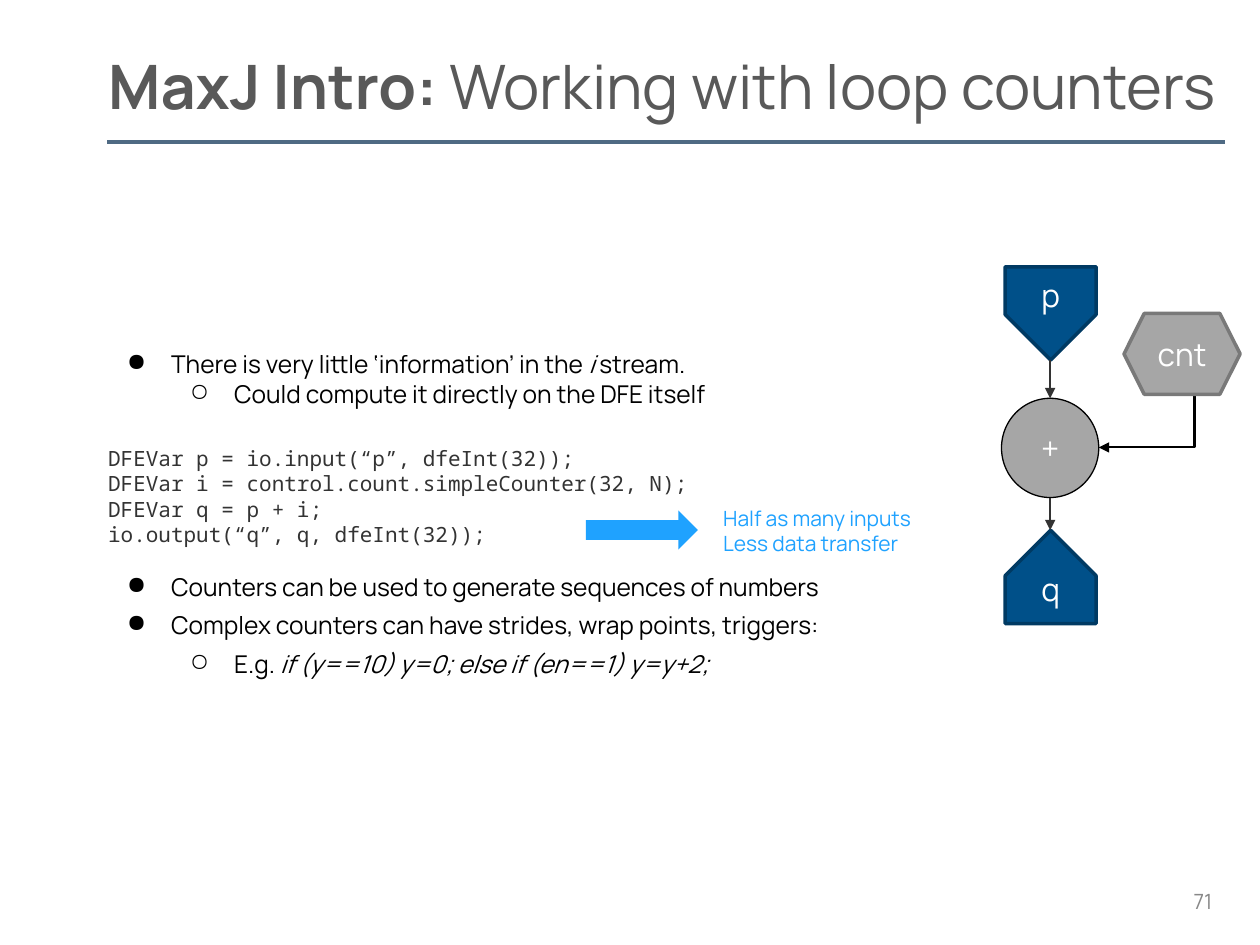
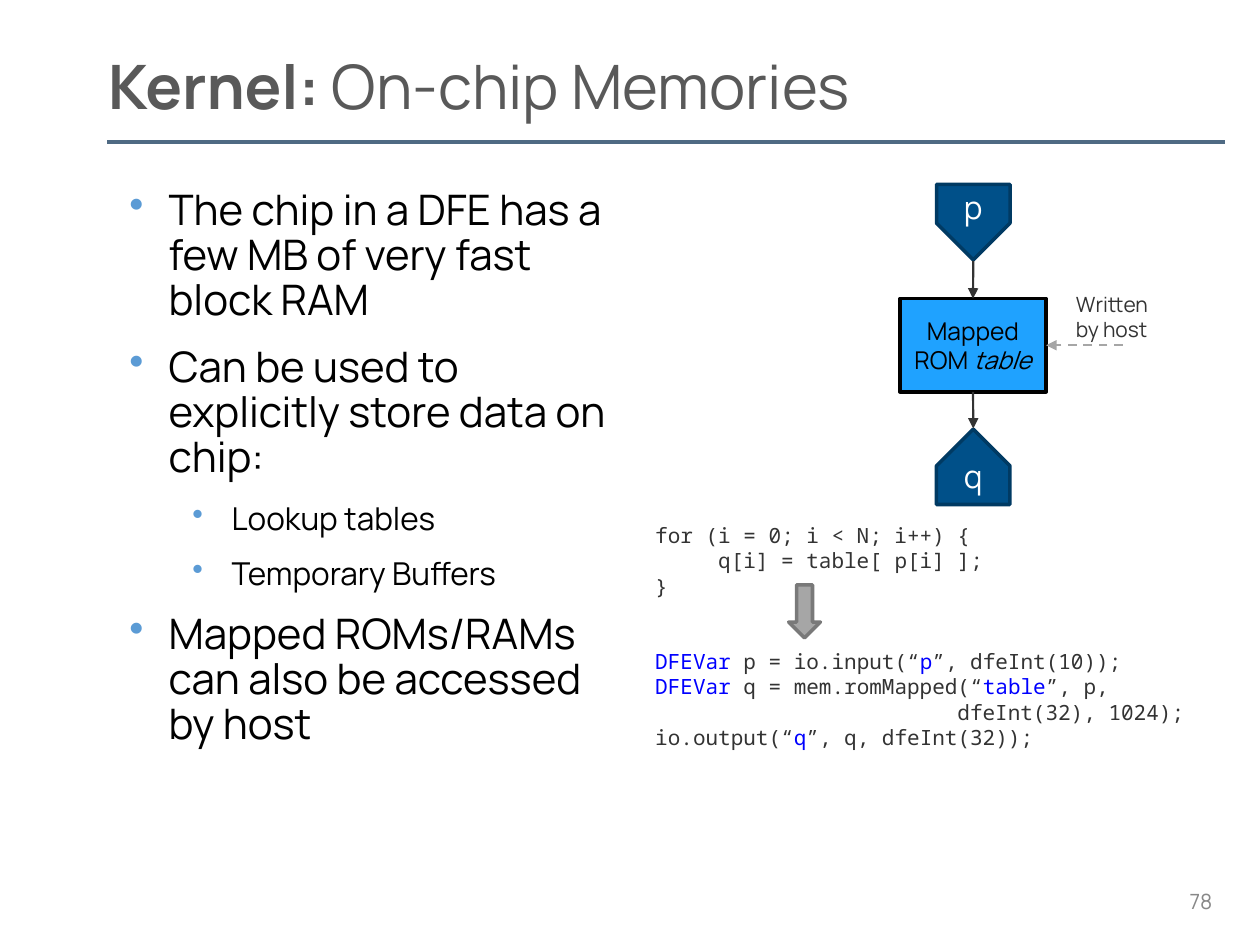
from dataclasses import dataclass
from typing import Optional

from pptx import Presentation
from pptx.dml.color import RGBColor
from pptx.enum.dml import MSO_LINE
from pptx.enum.shapes import MSO_CONNECTOR as Connector, MSO_SHAPE as Shape
from pptx.enum.text import MSO_ANCHOR as Anchor, MSO_AUTO_SIZE as AutoSize, PP_ALIGN as Align
from pptx.oxml.ns import qn
from pptx.util import Cm, Pt
from lxml.etree import SubElement

SANS, MONO = "Manrope", "Noto Sans Mono"
BLACK, WHITE, INK, TITLE_GREY = "000000", "FFFFFF", "333333", "595959"
NAVY, NAVY_EDGE, SKY, RULE = "005089", "003A63", "1FA2FF", "4F6A83"
GREY, GREY_EDGE, PAGE_GREY = "A6A6A6", "797979", "888888"
KEYWORD, BULLET_BLUE = "0000FF", "5B9BD5"
DEFAULT_INSETS = (0.25, 0.13)
BLOCK_INSETS = (0, 0.51)


@dataclass(frozen=True)
class Span:
    text: str
    bold: bool = False
    italic: bool = False
    color: Optional[str] = None


@dataclass(frozen=True)
class Style:
    size: float
    color: str
    font: str = SANS


@dataclass(frozen=True)
class Bullet:
    character: str
    color: str
    margin: float
    hanging: float
    level: int = 0


@dataclass(frozen=True)
class Line:
    """One paragraph: spans in one style, with spacing in points."""
    spans: tuple[Span, ...]
    style: Style
    bullet: Optional[Bullet] = None
    before: float = 0
    after: float = 0
    spacing: Optional[float] = None
    align: Align = Align.LEFT


@dataclass(frozen=True)
class Box:
    left: float
    top: float
    width: float
    height: float

    def lengths(self) -> tuple:
        return Cm(self.left), Cm(self.top), Cm(self.width), Cm(self.height)


@dataclass(frozen=True)
class Port:
    """A stream input (points down) or output (points up), placed by its centre."""
    letter: str
    center_x: float
    center_y: float
    length: float
    is_input: bool


LABEL = Style(18, WHITE)
BODY = Style(14, BLACK)
CODE = Style(12, INK, MONO)
DOT = Bullet("●", BLACK, 1.27, 0.89)
RING = Bullet("○", BLACK, 2.54, 0.89, 1)
OUTER = Bullet("•", BULLET_BLUE, 0.79, 0.79)
INNER = Bullet("•", BULLET_BLUE, 2.06, 0.79, 1)


def rgb(color: str) -> RGBColor:
    return RGBColor.from_string(color)


def plain(text: str, style: Style, **options) -> Line:
    return Line((Span(text),), style, **options)


def centered(text: str) -> list[Line]:
    return [plain(text, LABEL, align=Align.CENTER)]


def set_bullet(paragraph, bullet: Bullet) -> None:
    paragraph.level = bullet.level
    properties = paragraph._p.get_or_add_pPr()
    properties.set("marL", str(Cm(bullet.margin)))
    properties.set("indent", str(-Cm(bullet.hanging)))
    color = SubElement(properties, qn("a:buClr"))
    SubElement(color, qn("a:srgbClr")).set("val", bullet.color)
    SubElement(properties, qn("a:buChar")).set("char", bullet.character)


def write(shape, lines: list[Line], anchor: Anchor = Anchor.TOP,
          insets: tuple[float, float] = DEFAULT_INSETS) -> None:
    frame = shape.text_frame
    frame.word_wrap = True
    frame.auto_size = AutoSize.NONE
    frame.vertical_anchor = anchor
    frame.margin_left = frame.margin_right = Cm(insets[0])
    frame.margin_top = frame.margin_bottom = Cm(insets[1])
    for index, line in enumerate(lines):
        paragraph = frame.add_paragraph() if index else frame.paragraphs[0]
        if line.bullet:
            set_bullet(paragraph, line.bullet)
        paragraph.alignment = line.align
        paragraph.space_before, paragraph.space_after = Pt(line.before), Pt(line.after)
        if line.spacing:
            paragraph.line_spacing = line.spacing
        for span in line.spans:
            run = paragraph.add_run()
            run.text = span.text
            font = run.font
            font.name, font.size = line.style.font, Pt(line.style.size)
            font.bold, font.italic = span.bold, span.italic
            font.color.rgb = rgb(span.color or line.style.color)


def add_text(slide, box: Box, lines: list[Line], **options):
    shape = slide.shapes.add_textbox(*box.lengths())
    write(shape, lines, **options)
    return shape


def add_block(slide, kind: Shape, box: Box, fill: str, edge: Optional[str] = None,
              edge_width: float = 2, lines: Optional[list[Line]] = None):
    shape = slide.shapes.add_shape(kind, *box.lengths())
    shape.shadow.inherit = False
    shape.fill.solid()
    shape.fill.fore_color.rgb = rgb(fill)
    if edge:
        shape.line.color.rgb = rgb(edge)
        shape.line.width = Pt(edge_width)
    else:
        shape.line.fill.background()
    if lines:
        write(shape, lines, Anchor.MIDDLE)
    return shape


def add_line(slide, start: tuple[float, float], end: tuple[float, float], color: str = INK,
             width: float = 1.25, arrow: bool = True, kind: Connector = Connector.STRAIGHT):
    connector = slide.shapes.add_connector(kind, *map(Cm, start + end))
    connector.line.color.rgb = rgb(color)
    connector.line.width = Pt(width)
    if arrow:
        SubElement(connector.line._get_or_add_ln(), qn("a:tailEnd")).set("type", "triangle")
    SubElement(connector._element.spPr, qn("a:effectLst"))
    return connector


def add_corner_arrow(slide, start: tuple[float, float], end: tuple[float, float]) -> None:
    """Arrow that runs down from start, then left to end."""
    middle_x, middle_y = (start[0] + end[0]) / 2, (start[1] + end[1]) / 2
    half_width, half_height = (end[1] - start[1]) / 2, (start[0] - end[0]) / 2
    connector = add_line(slide, (middle_x - half_width, middle_y - half_height),
                         (middle_x + half_width, middle_y + half_height),
                         BLACK, kind=Connector.ELBOW)
    properties = connector._element.spPr
    properties.find(qn("a:xfrm")).set("rot", "5400000")
    properties.find(qn("a:prstGeom")).set("prst", "bentConnector2")


def add_port(slide, port: Port) -> None:
    length, breadth = port.length, port.length * 0.975
    plate = add_block(slide, Shape.PENTAGON,
                      Box(port.center_x - length / 2, port.center_y - breadth / 2, length, breadth),
                      NAVY, NAVY_EDGE)
    plate.rotation = 90 if port.is_input else 270
    label_height = length * 0.76
    label_y = port.center_y + length * (-0.2 if port.is_input else 0.125)
    add_text(slide, Box(port.center_x - breadth / 2, label_y - label_height / 2,
                        breadth, label_height),
             centered(port.letter), anchor=Anchor.MIDDLE)


def add_titled_slide(presentation, topic: str, subject: str, number: int):
    slide = presentation.slides.add_slide(presentation.slide_layouts[5])
    title = slide.shapes.title
    title.left, title.top, title.width, title.height = Box(2.18, 0.97, 23.01, 1.47).lengths()
    heading = Line((Span(f"{topic}: ", bold=True), Span(subject)), Style(35, TITLE_GREY))
    write(title, [heading], Anchor.MIDDLE, (0, 0))
    add_line(slide, (2.16, 2.87), (24.69, 2.87), RULE, 2.25, arrow=False)
    add_text(slide, Box(23.55, 17.65, 1.14, 1.02),
             [plain(str(number), Style(12, PAGE_GREY), align=Align.RIGHT)],
             anchor=Anchor.MIDDLE)
    return slide


def build_counters_slide(presentation) -> None:
    slide = add_titled_slide(presentation, "MaxJ Intro", "Working with loop counters", 71)
    add_text(slide, Box(2.18, 6.53, 14.5, 4.62), [
        Line((Span("There is very little ‘information’ in the "), Span("i ", italic=True),
              Span("stream.")), BODY, DOT),
        plain("Could compute it directly on the DFE itself", BODY, bullet=RING),
        plain("DFEVar p = io.input(“p”, dfeInt(32));", CODE, before=21.6),
        plain("DFEVar i = control.count.simpleCounter(32, N);", CODE),
        plain("DFEVar q = p + i;", CODE),
        plain("io.output(“q”, q, dfeInt(32));", CODE),
        plain("Counters can be used to generate sequences of numbers", BODY,
              bullet=DOT, before=14.4),
        plain("Complex counters can have strides, wrap points, triggers:", BODY,
              bullet=DOT, before=5.2),
        Line((Span("E.g. "), Span("if (y==10) y=0; else if (en==1) y=y+2;", italic=True)),
             BODY, RING, before=5.2),
    ], insets=BLOCK_INSETS)

    add_block(slide, Shape.RIGHT_ARROW, Box(11.81, 10.29, 2.26, 0.79), SKY)
    benefit = Style(12, SKY)
    add_text(slide, Box(14.33, 10.06, 5, 1.3),
             [plain("Half as many inputs", benefit), plain("Less data transfer", benefit)])

    add_port(slide, Port("p", 21.18, 6.32, 1.88, True))
    adder = add_block(slide, Shape.OVAL, Box(20.19, 8.03, 1.96, 2), GREY, BLACK, 0.75,
                      centered("+"))
    add_line(slide, (21.17, 7.26), (21.17, 8.03)).end_connect(adder, 0)
    add_corner_arrow(slide, (24.08, 6.68), (22.15, 9.02))
    add_port(slide, Port("q", 21.18, 11.63, 1.88, False))
    add_line(slide, (21.17, 10.03), (21.17, 10.69))
    add_block(slide, Shape.HEXAGON, Box(22.66, 6.32, 2.34, 1.63), GREY, GREY_EDGE,
              lines=centered("cnt"))


def build_memories_slide(presentation) -> None:
    slide = add_titled_slide(presentation, "Kernel", "On-chip Memories", 78)
    points = [
        ("The chip in a DFE has a few MB of very fast block RAM", OUTER),
        ("Can be used to explicitly store data on chip:", OUTER),
        ("Lookup tables", INNER),
        ("Temporary Buffers", INNER),
        ("Mapped ROMs/RAMs can also be accessed by host", OUTER),
    ]
    add_text(slide, Box(2.36, 3.68, 10.34, 12.8), [
        plain(text, Style(18 if bullet.level else 24, BLACK), bullet=bullet,
              after=12, spacing=0.9)
        for text, bullet in points])

    declaration = Span("DFEVar", color=KEYWORD)
    add_text(slide, Box(13.21, 10.03, 11.05, 5.11), [
        plain("for (i = 0; i < N; i++) {", CODE),
        plain("\tq[i] = table[ p[i] ];", CODE),
        plain("}", CODE),
        Line((declaration, Span(" p = io.input(“"), Span("p", color=KEYWORD),
              Span("”, dfeInt(10));")), CODE, before=28.8),
        Line((declaration, Span(" q = mem.romMapped(“"), Span("table", color=KEYWORD),
              Span("”, p,")), CODE),
        plain("                        dfeInt(32), 1024);", CODE),
        Line((Span("io.output(“"), Span("q", color=KEYWORD),
              Span("”, q, dfeInt(32));")), CODE),
    ], insets=BLOCK_INSETS)
    add_block(slide, Shape.DOWN_ARROW, Box(15.9, 11.79, 0.64, 1.07), GREY, GREY_EDGE)

    add_port(slide, Port("p", 19.62, 4.48, 1.52, True))
    add_port(slide, Port("q", 19.62, 9.41, 1.52, False))
    rom = add_block(slide, Shape.RECTANGLE, Box(18.14, 6.02, 2.95, 1.88), SKY, BLACK, lines=[
        Line((Span("Mapped ROM "), Span("table", italic=True)), BODY, align=Align.CENTER)])
    add_line(slide, (19.62, 5.26), (19.62, 6.02)).end_connect(rom, 0)
    add_line(slide, (19.62, 7.9), (19.62, 8.64)).begin_connect(rom, 2)
    host_write = add_line(slide, (22.63, 6.96), (21.09, 6.96), GREY)
    host_write.line.dash_style = MSO_LINE.DASH
    host_write.end_connect(rom, 3)
    add_text(slide, Box(21.44, 5.74, 2.21, 1.04), [plain("Written by host", Style(12, INK))])


def main() -> None:
    presentation = Presentation()
    presentation.slide_width, presentation.slide_height = Cm(25.4), Cm(19.05)
    build_counters_slide(presentation)
    build_memories_slide(presentation)
    presentation.save("out.pptx")


if __name__ == "__main__":
    main()
